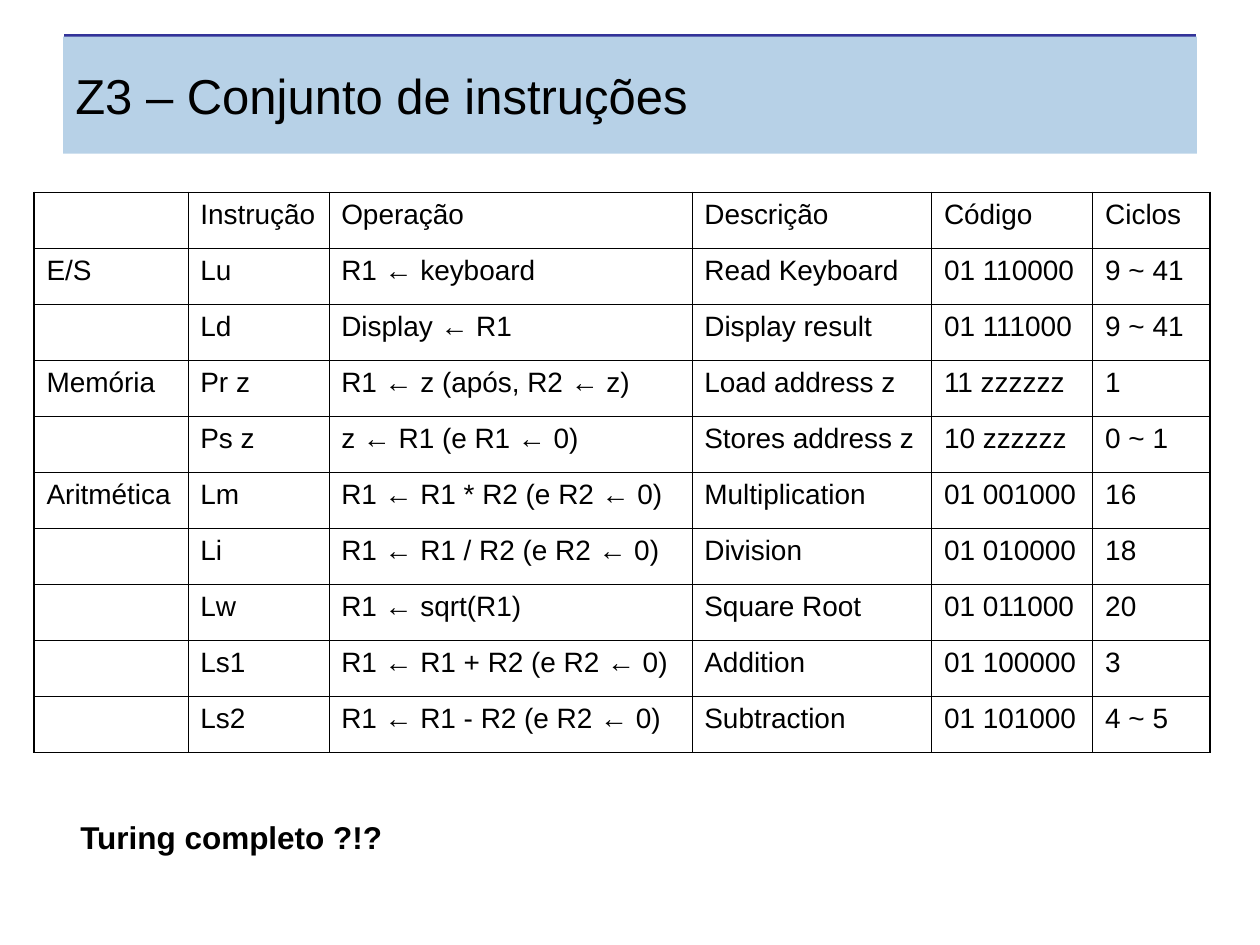
from lxml.etree import SubElement
from pptx import Presentation
from pptx.dml.color import RGBColor
from pptx.enum.shapes import MSO_CONNECTOR
from pptx.enum.text import MSO_ANCHOR, MSO_AUTO_SIZE, PP_ALIGN
from pptx.oxml.ns import qn
from pptx.util import Cm, Pt

TITLE = "Z3 – Conjunto de instruções"
QUESTION = "Turing completo ?!?"
ROWS = [
    ("", "Instrução", "Operação", "Descrição", "Código", "Ciclos"),
    ("E/S", "Lu", "R1 ← keyboard", "Read Keyboard", "01 110000", "9 ~ 41"),
    ("", "Ld", "Display ← R1", "Display result", "01 111000", "9 ~ 41"),
    ("Memória", "Pr z", "R1 ← z (após, R2 ← z)", "Load address z", "11 zzzzzz", "1"),
    ("", "Ps z", "z ← R1 (e R1 ← 0)", "Stores address z", "10 zzzzzz", "0 ~ 1"),
    ("Aritmética", "Lm", "R1 ← R1 * R2 (e R2 ← 0)", "Multiplication", "01 001000", "16"),
    ("", "Li", "R1 ← R1 / R2 (e R2 ← 0)", "Division", "01 010000", "18"),
    ("", "Lw", "R1 ← sqrt(R1)", "Square Root", "01 011000", "20"),
    ("", "Ls1", "R1 ← R1 + R2 (e R2 ← 0)", "Addition", "01 100000", "3"),
    ("", "Ls2", "R1 ← R1 - R2 (e R2 ← 0)", "Subtraction", "01 101000", "4 ~ 5"),
]
COL_WIDTHS = [3.1, 2.84, 7.32, 4.83, 3.25, 2.36]
ROW_HEIGHT = 1.13
COLORS = {"text": "000000", "band": "B7D1E7", "rule": "333399", "grid": "000000"}
INNER, OUTER = Pt(0.45), Pt(1.08)
INSETS = {"margin_left": Cm(0.25), "margin_right": Cm(0.25),
          "margin_top": Cm(0.13), "margin_bottom": Cm(0.13)}
TITLE_FONT = {"name": "Arial", "size": Pt(28), "bold": False}
CELL_FONT = {"name": "Arial", "size": Pt(16), "bold": False}
QUESTION_FONT = {"name": "Arial", "size": Pt(18), "bold": True}


def rgb(name):
    return RGBColor.from_string(COLORS[name])


def apply(target, values):
    for key, value in values.items():
        setattr(target, key, value)


def write(tf, text, font):
    p = tf.paragraphs[0]
    p.alignment = PP_ALIGN.LEFT
    if text:
        r = p.add_run()
        r.text = text
        apply(r.font, font)
        r.font.color.rgb = rgb("text")


def set_borders(cell, widths):
    tcPr = cell._tc.get_or_add_tcPr()
    for side, width in widths.items():
        ln = SubElement(tcPr, qn(f"a:ln{side}"), w=str(width))
        fill = SubElement(ln, qn("a:solidFill"))
        SubElement(fill, qn("a:srgbClr"), val=COLORS["grid"])


def add_title(s):
    title = s.shapes.title
    apply(title, {"left": Cm(1.27), "top": Cm(0.74), "width": Cm(22.86), "height": Cm(2.36)})
    title.fill.solid()
    title.fill.fore_color.rgb = rgb("band")
    tf = title.text_frame
    apply(tf, {**INSETS, "word_wrap": True, "auto_size": MSO_AUTO_SIZE.NONE,
               "vertical_anchor": MSO_ANCHOR.MIDDLE})
    write(tf, TITLE, TITLE_FONT)
    rule = s.shapes.add_connector(MSO_CONNECTOR.STRAIGHT, Cm(1.3), Cm(0.71), Cm(24.1), Cm(0.71))
    rule.line.color.rgb = rgb("rule")
    rule.line.width = Pt(1.5)
    SubElement(rule._element.spPr, qn("a:effectLst"))
    title._element.addprevious(rule._element)


def add_instructions(s):
    n_rows, n_cols = len(ROWS), len(COL_WIDTHS)
    table = s.shapes.add_table(n_rows, n_cols, Cm(0.69), Cm(3.88),
                               Cm(sum(COL_WIDTHS)), Cm(ROW_HEIGHT * n_rows)).table
    apply(table, {"first_row": False, "horz_banding": False})
    for column, width in zip(table.columns, COL_WIDTHS):
        column.width = Cm(width)
    for i, row in enumerate(ROWS):
        table.rows[i].height = Cm(ROW_HEIGHT)
        for j, text in enumerate(row):
            cell = table.cell(i, j)
            apply(cell, {**INSETS, "vertical_anchor": MSO_ANCHOR.TOP})
            edges = {"L": j == 0, "R": j == n_cols - 1, "T": i == 0, "B": i == n_rows - 1}
            set_borders(cell, {side: OUTER if edge else INNER for side, edge in edges.items()})
            cell.fill.background()
            write(cell.text_frame, text, CELL_FONT)


def add_question(s):
    tf = s.shapes.add_textbox(Cm(1.37), Cm(16.36), Cm(6.63), Cm(1.02)).text_frame
    apply(tf, {**INSETS, "word_wrap": False, "auto_size": MSO_AUTO_SIZE.SHAPE_TO_FIT_TEXT})
    write(tf, QUESTION, QUESTION_FONT)


def main():
    """Build the slide with the Z3 instruction set."""
    prs = Presentation()
    apply(prs, {"slide_width": Cm(25.4), "slide_height": Cm(19.05)})
    s = prs.slides.add_slide(prs.slide_layouts[5])
    add_title(s)
    add_instructions(s)
    add_question(s)
    prs.save("out.pptx")


if __name__ == "__main__":
    main()
